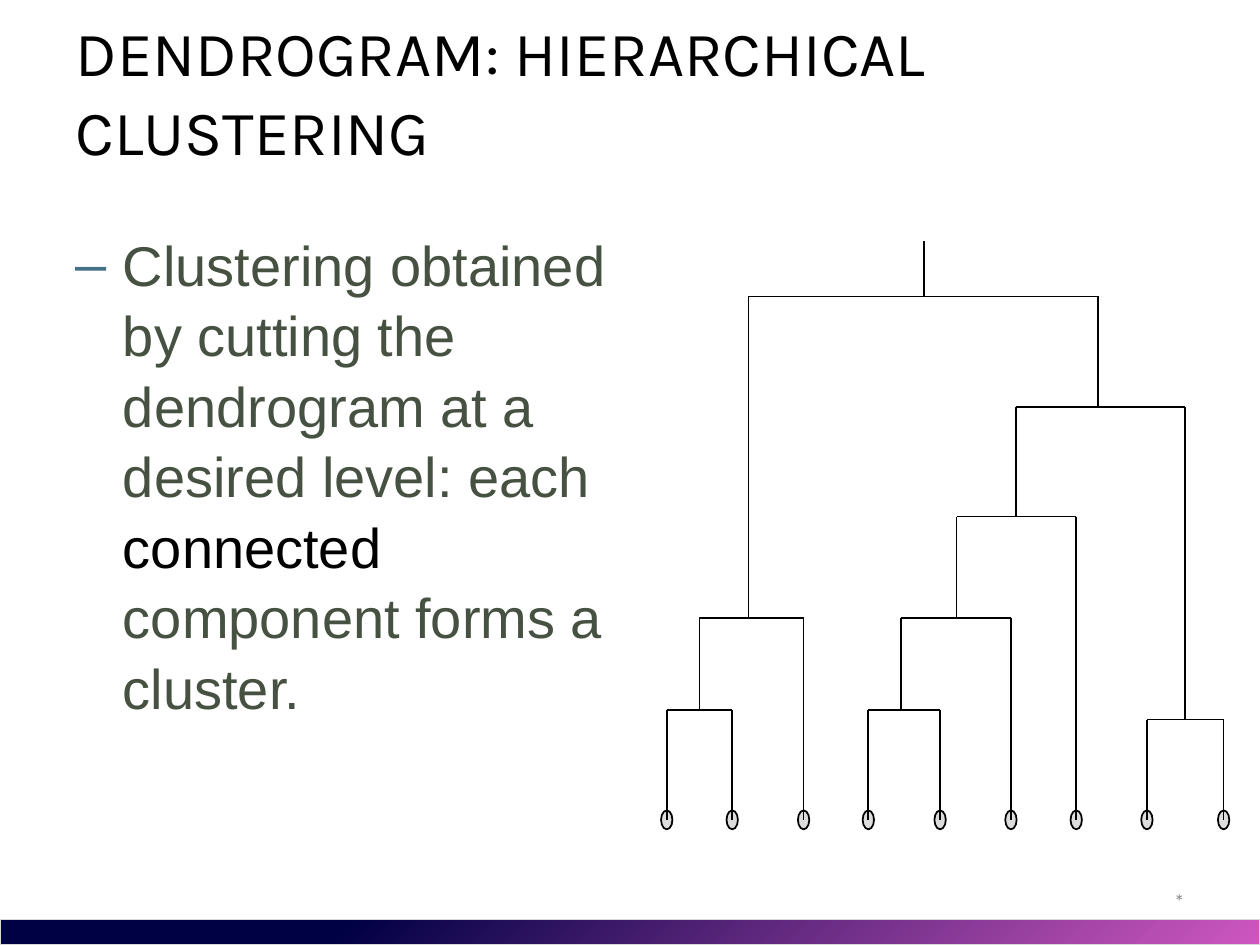
from lxml import etree
from pptx import Presentation
from pptx.dml.color import RGBColor
from pptx.enum.shapes import MSO_CONNECTOR, MSO_SHAPE
from pptx.enum.text import MSO_ANCHOR, MSO_AUTO_SIZE, PP_ALIGN
from pptx.oxml.ns import qn
from pptx.util import Pt

STRAIGHT = MSO_CONNECTOR.STRAIGHT
RECTANGLE, OVAL = MSO_SHAPE.RECTANGLE, MSO_SHAPE.OVAL
TOP, MIDDLE = MSO_ANCHOR.TOP, MSO_ANCHOR.MIDDLE
LEFT, RIGHT = PP_ALIGN.LEFT, PP_ALIGN.RIGHT
NO_AUTOFIT = MSO_AUTO_SIZE.NONE

COLORS = {
    "black": "000000",
    "body": "465142",
    "bullet": "437085",
    "number": "898989",
    "leaf": "DDDDDD",
    "bar_start": "000044",
    "bar_end": "CE57C1",
    "bar_line": "D8D8D8",
}
TITLE_FORMAT = {"name": "Karla", "size": Pt(36), "bold": False}
BODY_FORMAT = {"name": "Arial", "size": Pt(32), "bold": False}
NUMBER_FORMAT = {"name": "Calibri", "size": Pt(12), "bold": False}

BODY_SPANS = [
    ("Clustering obtained by cutting the dendrogram at a desired level: each ", "body"),
    ("connected", "black"),
    (" component forms a cluster.", "body"),
]

LEAVES = [0, 37.4, 78.2, 115.2, 156.2, 196.7, 234, 274.4, 318.2]
LEAF_DEPTH = 330.5
LEAF_SIZE = (6.5, 10.8)
MERGES = [
    (0, 37.4, 267.9, 18.7),
    (115.2, 156.2, 267.9, 134),
    (274.4, 318.2, 273.2, 296),
    (18.7, 78.2, 215.3, 46.8),
    (134, 196.7, 215.3, 165.6),
    (165.6, 234, 157.2, 199.6),
    (199.6, 296, 94.7, 246.3),
    (46.8, 246.3, 31.4, 146.9),
]


def rgb(name):
    """Return the named palette colour."""
    return RGBColor.from_string(COLORS[name])


def place(shape, box):
    """Move a shape to a box of left, top, width and height in points."""
    for name, value in zip(("left", "top", "width", "height"), box):
        setattr(shape, name, Pt(value))


def write(shape, box, spans, style, align, anchor, spacing=1.0):
    """Fill a shape with one formatted paragraph and return the paragraph."""
    place(shape, box)
    frame = shape.text_frame
    settings = {"word_wrap": True, "auto_size": NO_AUTOFIT, "vertical_anchor": anchor}
    for name, value in settings.items():
        setattr(frame, name, value)
    para = frame.paragraphs[0]
    settings = {"alignment": align, "line_spacing": spacing, "space_before": Pt(0)}
    for name, value in settings.items():
        setattr(para, name, value)
    for text, color in spans:
        span = para.add_run()
        span.text = text
        for name, value in style.items():
            setattr(span.font, name, value)
        span.font.color.rgb = rgb(color)
    return para


def add_title(page, box):
    """Place the slide title."""
    spans = [("DENDROGRAM: HIERARCHICAL CLUSTERING", "black")]
    write(page.shapes.title, box, spans, TITLE_FORMAT, LEFT, MIDDLE, 1.05)


def add_body(page, box):
    """Place the dashed list item."""
    para = write(page.placeholders[1], box, BODY_SPANS, BODY_FORMAT, LEFT, TOP, 1.05)
    properties = para._p.get_or_add_pPr()
    properties.set("marL", str(Pt(27)))
    properties.set("indent", str(Pt(-27)))
    color = etree.SubElement(properties, qn("a:buClr"))
    etree.SubElement(color, qn("a:srgbClr"), val=COLORS["bullet"])
    etree.SubElement(properties, qn("a:buFont"), typeface="Arial")
    etree.SubElement(properties, qn("a:buChar"), char="–")


def add_number(page, box):
    """Place the slide number mark."""
    shape = page.shapes.add_textbox(0, 0, 0, 0)
    write(shape, box, [("*", "number")], NUMBER_FORMAT, RIGHT, MIDDLE)


def add_bar(page, box):
    """Place the gradient bar along the foot of the slide."""
    bar = page.shapes.add_shape(RECTANGLE, 0, 0, 0, 0)
    place(bar, box)
    bar.rotation = 180
    bar.shadow.inherit = False
    bar.fill.gradient()
    bar.fill.gradient_angle = 135
    stops = [(0.27, "bar_start"), (1.0, "bar_end")]
    for stop, (position, color) in zip(bar.fill.gradient_stops, stops):
        stop.position = position
        stop.color.rgb = rgb(color)
    bar.line.color.rgb = rgb("bar_line")
    bar.line.width = Pt(0.75)


def add_branch(group, start, end):
    """Draw one straight branch between two points."""
    branch = group.shapes.add_connector(STRAIGHT, *map(Pt, start + end))
    branch.line.color.rgb = rgb("black")
    branch.line.width = Pt(1)
    etree.SubElement(branch._element.spPr, qn("a:effectLst"))


def add_dendrogram(page, left, top):
    """Draw the leaves and join them from the bottom up to the root."""
    group = page.shapes.add_group_shape()
    width, height = LEAF_SIZE
    for x in LEAVES:
        leaf = group.shapes.add_shape(OVAL, 0, 0, 0, 0)
        place(leaf, (left + x - width / 2, top + LEAF_DEPTH - height / 2, width, height))
        leaf.shadow.inherit = False
        leaf.fill.solid()
        leaf.fill.fore_color.rgb = rgb("leaf")
        leaf.line.color.rgb = rgb("black")
        leaf.line.width = Pt(1)
    depths = dict.fromkeys(LEAVES, LEAF_DEPTH)
    for first, second, depth, stem in MERGES:
        level = top + depth
        for x in (first, second):
            add_branch(group, (left + x, level), (left + x, top + depths[x]))
        add_branch(group, (left + first, level), (left + second, level))
        depths[stem] = depth
    add_branch(group, (left + stem, top), (left + stem, level))


def main():
    """Build and save the slide."""
    deck = Presentation()
    deck.slide_width, deck.slide_height = Pt(720), Pt(540)
    page = deck.slides.add_slide(deck.slide_layouts[1])
    add_bar(page, (0, 525.6, 720, 14.4))
    add_title(page, (36, 22.3, 656, 57))
    add_body(page, (36, 126, 318.2, 356.4))
    add_number(page, (516, 500.4, 168, 28.8))
    add_dendrogram(page, 381, 138)
    deck.save("out.pptx")


if __name__ == "__main__":
    main()
